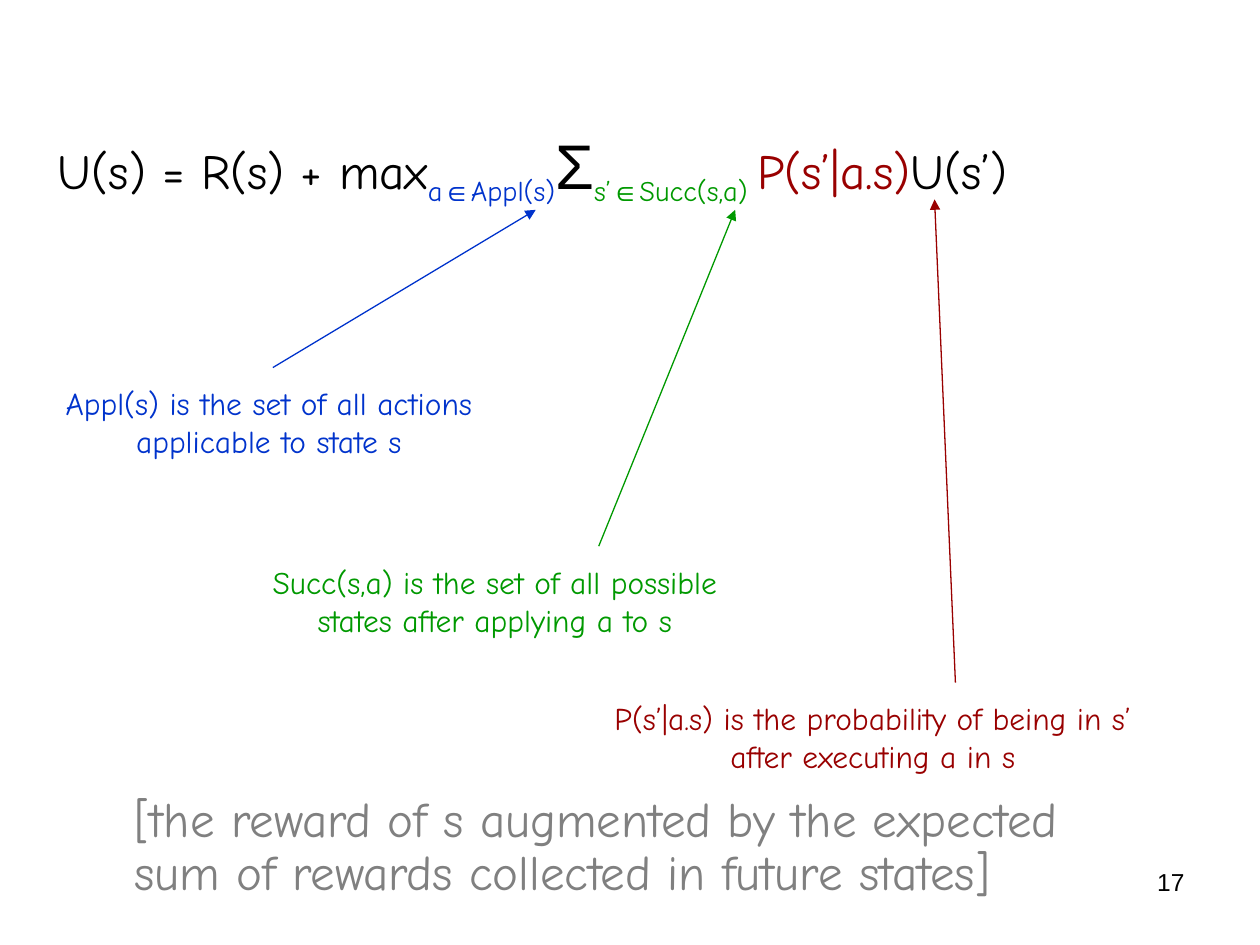
from dataclasses import dataclass

from lxml.etree import SubElement
from pptx import Presentation
from pptx.dml.color import RGBColor
from pptx.enum.shapes import MSO_CONNECTOR
from pptx.enum.text import MSO_AUTO_SIZE, PP_ALIGN
from pptx.oxml.ns import qn
from pptx.util import Cm, Pt


@dataclass(frozen=True)
class Theme:
    font: str = "Comic Neue"
    symbol_font: str = "Arial"
    black: str = "000000"
    action: str = "0033CC"
    successor: str = "009900"
    probability: str = "990000"
    summary: str = "808080"
    formula_size: int = 28
    sigma_size: int = 36
    label_size: int = 18
    number_size: int = 14
    line_width: float = 0.75


THEME = Theme()


def style_font(font, size, color, name=THEME.font):
    font.name = name
    font.size = Pt(size)
    font.color.rgb = RGBColor.from_string(color)


def add_text_box(slide, left, top, width, height, wrap=True):
    shape = slide.shapes.add_textbox(Cm(left), Cm(top), Cm(width), Cm(height))
    shape.text_frame.word_wrap = wrap
    shape.text_frame.auto_size = MSO_AUTO_SIZE.NONE
    return shape.text_frame


def add_note(slide, box, text, size, color, align=PP_ALIGN.CENTER,
             name=THEME.font, wrap=True):
    paragraph = add_text_box(slide, *box, wrap=wrap).paragraphs[0]
    paragraph.text = text
    paragraph.alignment = align
    style_font(paragraph.font, size, color, name)
    return paragraph


def add_formula(slide, box, terms):
    """Each term is (text, color, font name, size, is subscript)."""
    paragraph = add_text_box(slide, *box).paragraphs[0]
    for text, color, name, size, subscript in terms:
        run = paragraph.add_run()
        run.text = text
        style_font(run.font, size, color, name)
        if subscript:
            run._r.get_or_add_rPr().set("baseline", "-25000")


def add_arrow(slide, start, end, color):
    points = [Cm(value) for value in (*start, *end)]
    arrow = slide.shapes.add_connector(MSO_CONNECTOR.STRAIGHT, *points)
    arrow.line.color.rgb = RGBColor.from_string(color)
    arrow.line.width = Pt(THEME.line_width)
    SubElement(arrow.line._get_or_add_ln(), qn("a:tailEnd"), type="triangle")
    SubElement(arrow._element.spPr, qn("a:effectLst"))


def set_terms(variable, set_name, color):
    """Subscript reading 'variable is an element of set_name'."""
    parts = ((variable, THEME.font), ("∈", THEME.symbol_font), (set_name, THEME.font))
    return [(text, color, name, THEME.formula_size, True) for text, name in parts]


def main():
    presentation = Presentation()
    presentation.slide_width, presentation.slide_height = Cm(25.4), Cm(19.05)
    slide = presentation.slides.add_slide(presentation.slide_layouts[6])

    # Utility equation
    size = THEME.formula_size
    add_formula(slide, (0.92, 2.42, 23, 4), [
        ("U(s) = R(s) + max", THEME.black, THEME.font, size, False),
        *set_terms("a", "Appl(s)", THEME.action),
        ("Σ", THEME.black, THEME.symbol_font, THEME.sigma_size, False),
        *set_terms("s’", "Succ(s,a) ", THEME.successor),
        ("P(s’|a.s)", THEME.probability, THEME.font, size, False),
        ("U(s’)", THEME.black, THEME.font, size, False),
    ])

    # Explanations, each with an arrow to its term
    explanations = [
        ("Appl(s) is the set of all actions applicable to state s",
         THEME.action, (0.85, 7.62, 9.14, 1.78), (5.5, 7.41), (10.8, 4.23)),
        ("Succ(s,a) is the set of all possible states after applying a to s",
         THEME.successor, (4.45, 11.22, 11.05, 1.78), (12.07, 11.01), (14.82, 4.23)),
        ("P(s’|a.s) is the probability of being in s’ after executing a in s",
         THEME.probability, (12.07, 13.97, 11.05, 1.78), (19.26, 13.76), (18.84, 4.02)),
    ]
    for text, color, box, start, end in explanations:
        add_arrow(slide, start, end, color)
        add_note(slide, box, text, THEME.label_size, color)

    # Summary in words
    summary = add_note(
        slide, (2.46, 15.9, 19.58, 2.39),
        "[the reward of s augmented by the expected\vsum of rewards collected in future states]",
        THEME.formula_size, THEME.summary, PP_ALIGN.LEFT, wrap=False)
    summary.line_spacing = 0.9

    # Slide number
    add_note(slide, (18.2, 17.36, 5.93, 1.32), "17", THEME.number_size,
             THEME.black, PP_ALIGN.RIGHT, THEME.symbol_font)

    presentation.save("out.pptx")


if __name__ == "__main__":
    main()
